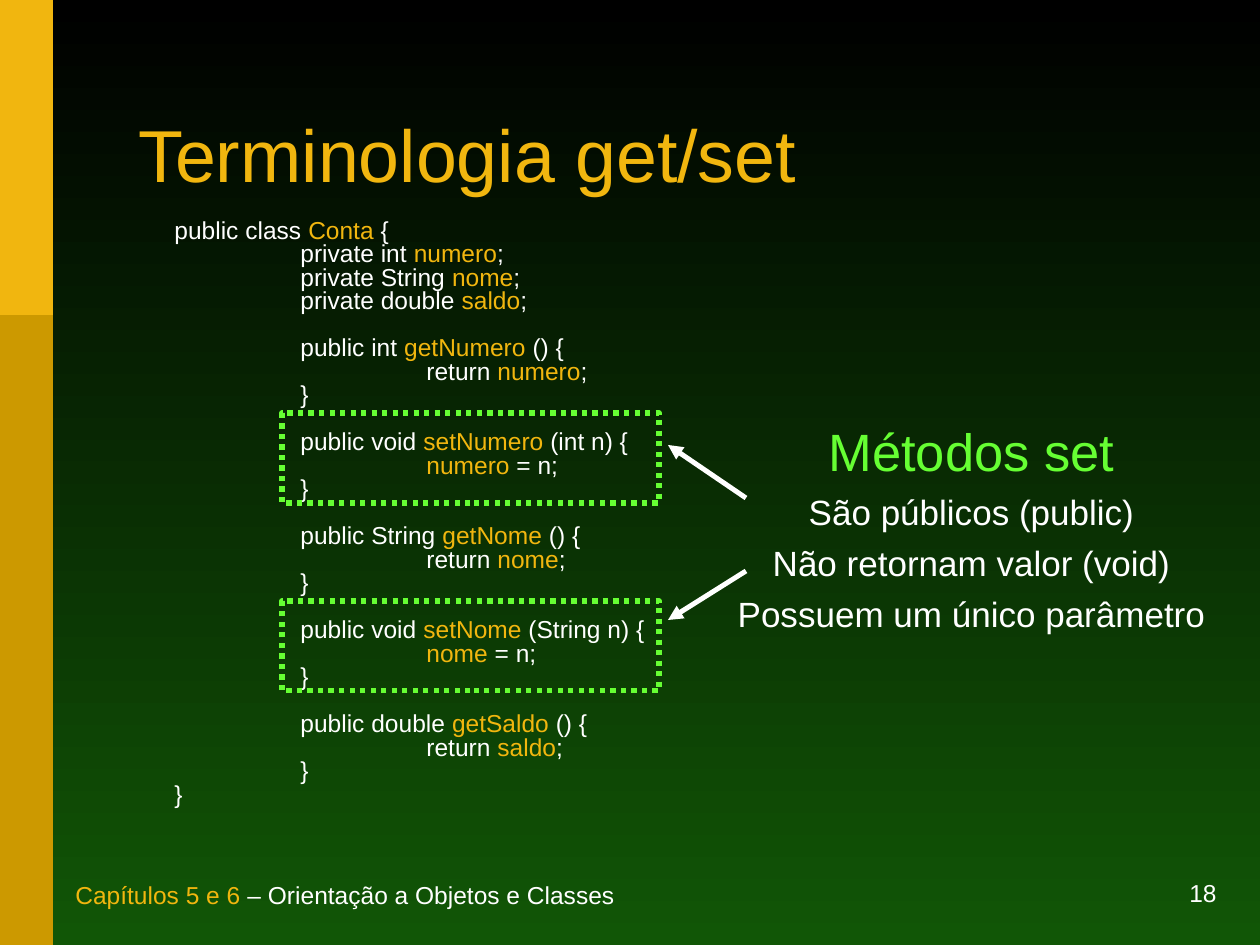
from lxml import etree
from pptx import Presentation
from pptx.dml.color import RGBColor
from pptx.enum.dml import MSO_LINE
from pptx.enum.shapes import MSO_CONNECTOR, MSO_SHAPE
from pptx.enum.text import MSO_ANCHOR, PP_ALIGN
from pptx.oxml.ns import qn
from pptx.util import Emu, Pt

PX = 914400 / 126
RECT, STRAIGHT = MSO_SHAPE.RECTANGLE, MSO_CONNECTOR.STRAIGHT
TOP, MIDDLE, BOTTOM = MSO_ANCHOR.TOP, MSO_ANCHOR.MIDDLE, MSO_ANCHOR.BOTTOM
LEFT, CENTER, RIGHT = PP_ALIGN.LEFT, PP_ALIGN.CENTER, PP_ALIGN.RIGHT
DOTTED = MSO_LINE.ROUND_DOT
GOLD, DARK_GOLD, GREEN, WHITE = "F1B60F", "CC9900", "66FF33", "FFFFFF"
BACKGROUND = ["000000", "115606"]

# Words between asterisks are highlighted in gold.
TITLE = "*Terminologia get/set*"
FOOTER = "*Capítulos 5 e 6* – Orientação a Objetos e Classes"
PAGE = "18"
CODE = """public class *Conta* {
\tprivate int *numero*;
\tprivate String *nome*;
\tprivate double *saldo*;

\tpublic int *getNumero* () {
\t\treturn *numero*;
\t}

\tpublic void *setNumero* (int n) {
\t\t*numero* = n;
\t}

\tpublic String *getNome* () {
\t\treturn *nome*;
\t}

\tpublic void *setNome* (String n) {
\t\t*nome* = n;
\t}

\tpublic double *getSaldo* () {
\t\treturn *saldo*;
\t}
}"""
NOTES = [  # text, size, colour, space before
    ("Métodos set", 30, GREEN, 7.5),
    ("São públicos (public)", 20, WHITE, 5),
    ("Não retornam valor (void)", 20, WHITE, 5),
    ("Possuem um único parâmetro", 20, WHITE, 5),
]
BARS = [(945, DARK_GOLD), (315, GOLD)]  # height, colour
SETTER_TOPS = [413, 601]
ARROWS = [((746, 498), (668, 445)), ((746, 571), (668, 620))]


def px(*values):
    return [Emu(round(v * PX)) for v in values]


def rgb(color):
    return RGBColor.from_string(color)


def add_rect(slide, box, fill=None):
    s = slide.shapes.add_shape(RECT, *px(*box))
    s.shadow.inherit = False
    if fill:
        s.fill.solid()
        s.fill.fore_color.rgb = rgb(fill)
        s.line.fill.background()
    else:
        s.fill.background()
        s.line.color.rgb = rgb(GREEN)
        s.line.width = Pt(3)
        s.line.dash_style = DOTTED
    return s


def add_box(slide, box, anchor=TOP):
    tf = slide.shapes.add_textbox(*px(*box)).text_frame
    tf.word_wrap = True
    tf.vertical_anchor = anchor
    return tf


def add_run(p, text, size, color):
    r = p.add_run()
    r.text = text
    r.font.name = "Arial"
    r.font.size = Pt(size)
    r.font.color.rgb = rgb(color)


def write_marked(p, text, size, align=LEFT):
    """Write text into p, with line breaks and gold for the marked words."""
    p.alignment = align
    for n, line in enumerate(text.split("\n")):
        if n:
            p.add_line_break()
            br = p._p.findall(qn("a:br"))[-1]
            etree.SubElement(br, qn("a:rPr"), sz=str(size * 100))
        for i, part in enumerate(line.split("*")):
            if part:
                add_run(p, part, size, GOLD if i % 2 else WHITE)


def set_tabs(p, step, count):
    tabs = etree.SubElement(p._p.get_or_add_pPr(), qn("a:tabLst"))
    for i in range(1, count + 1):
        etree.SubElement(tabs, qn("a:tab"), pos=str(px(i * step)[0]), algn="l")


def add_arrow(slide, start, end):
    c = slide.shapes.add_connector(STRAIGHT, *px(*start, *end))
    c.line.color.rgb = rgb(WHITE)
    c.line.width = Pt(2.83)
    etree.SubElement(c.line._get_or_add_ln(), qn("a:tailEnd"), type="triangle")
    etree.SubElement(c._element.spPr, qn("a:effectLst"))


def main():
    prs = Presentation()
    prs.slide_width, prs.slide_height = px(1260, 945)
    slide = prs.slides.add_slide(prs.slide_layouts[6])

    fill = slide.background.fill
    fill.gradient()
    fill.gradient_angle = 270
    for stop, color, position in zip(fill.gradient_stops, BACKGROUND, (0, 1)):
        stop.color.rgb = rgb(color)
        stop.position = position

    for height, color in BARS:
        add_rect(slide, (0, 0, 53, height), color)

    page = add_box(slide, (914, 882, 315, 32), BOTTOM)
    write_marked(page.paragraphs[0], PAGE, 14, RIGHT)
    footer = add_box(slide, (63, 882, 843, 34), BOTTOM)
    write_marked(footer.paragraphs[0], FOOTER, 14)

    title = add_box(slide, (126, 79, 1037, 163), MIDDLE).paragraphs[0]
    title.line_spacing = 0.85
    write_marked(title, TITLE, 42)

    code = add_box(slide, (162, 214, 964, 607)).paragraphs[0]
    code.line_spacing = 0.8
    code.space_before = Pt(13.5)
    set_tabs(code, 126, 7)
    write_marked(code, CODE, 14)

    notes = add_box(slide, (709, 413, 525, 228))
    for i, (text, size, color, before) in enumerate(NOTES):
        p = notes.add_paragraph() if i else notes.paragraphs[0]
        p.alignment = CENTER
        p.space_before = Pt(before)
        add_run(p, text, size, color)

    for top in SETTER_TOPS:
        add_rect(slide, (282, top, 377, 90))
    for start, end in ARROWS:
        add_arrow(slide, start, end)

    prs.save("out.pptx")


if __name__ == "__main__":
    main()
